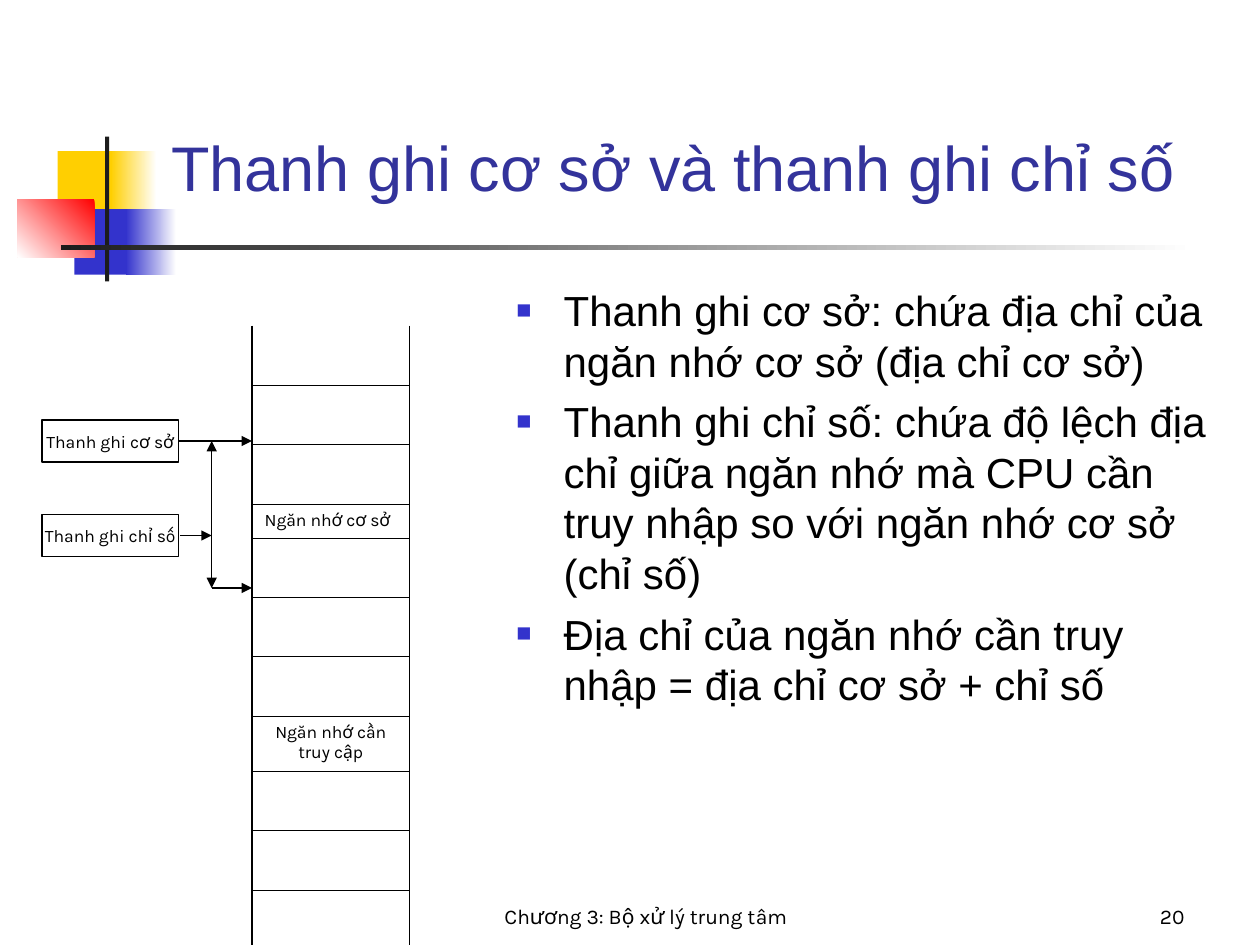
from dataclasses import dataclass

from lxml.etree import SubElement
from pptx import Presentation
from pptx.dml.color import RGBColor
from pptx.enum.shapes import MSO_CONNECTOR as Conn, MSO_SHAPE as Kind
from pptx.enum.text import MSO_ANCHOR as Anchor, PP_ALIGN as Align
from pptx.oxml import parse_xml
from pptx.oxml.ns import nsdecls, qn
from pptx.util import Pt


@dataclass(frozen=True)
class Theme:
    white: str = "FFFFFF"
    black: str = "000000"
    dark: str = "1C1C1C"
    gold: str = "FFCF01"
    blue: str = "3333CC"
    red: str = "FF0000"
    title: str = "33339B"
    sans: str = "Arial"
    label: str = "Karla"
    head: int = 36
    body: int = 24
    foot: int = 12
    small: int = 10
    line: float = 0.75
    side: float = 1.08
    rule: float = 0.45


def rgb(color):
    return RGBColor.from_string(color)


class Page:
    def __init__(self, slide, theme):
        self.slide = slide
        self.theme = theme

    def words(self, frame, texts, size, color=None, font=None, align=Align.LEFT):
        """Fill a text frame with one paragraph per text."""
        frame.text = "\n".join(texts)
        for para in frame.paragraphs:
            para.alignment = align
            para.font.size = Pt(size)
            para.font.name = font or self.theme.label
            para.font.color.rgb = rgb(color or self.theme.black)

    def text(self, box, texts, size, anchor=Anchor.BOTTOM, **style):
        frame = self.slide.shapes.add_textbox(*map(Pt, box)).text_frame
        frame.word_wrap = True
        frame.vertical_anchor = anchor
        self.words(frame, texts, size, **style)
        return frame

    def bullets(self, box, texts):
        look = self.theme
        frame = self.text(box, texts, look.body, Anchor.TOP, font=look.sans)
        marks = (
            f'<a:buClr {nsdecls("a")}><a:srgbClr val="{look.blue}"/></a:buClr>',
            f'<a:buSzPct {nsdecls("a")} val="60000"/>',
            f'<a:buFont {nsdecls("a")} typeface="{look.sans}"/>',
            f'<a:buChar {nsdecls("a")} char="■"/>',
        )
        for para in frame.paragraphs:
            para.space_before = Pt(6)
            props = para._p.get_or_add_pPr()
            props.set("marL", str(Pt(27)))
            props.set("indent", str(Pt(-27)))
            final = props.find(qn("a:defRPr"))
            for mark in marks:
                final.addprevious(parse_xml(mark))

    def rect(self, box, start, end=None, angle=180):
        """Add a borderless block, shaded when an end colour is given."""
        shape = self.slide.shapes.add_shape(Kind.RECTANGLE, *map(Pt, box))
        shape.shadow.inherit = False
        shape.line.fill.background()
        if end:
            shape.fill.gradient()
            shape.fill.gradient_angle = angle
            for stop, color in zip(shape.fill.gradient_stops, (start, end)):
                stop.color.rgb = rgb(color)
        else:
            shape.fill.solid()
            shape.fill.fore_color.rgb = rgb(start)
        return shape

    def label(self, box, text):
        look = self.theme
        shape = self.rect(box, look.white)
        shape.line.color.rgb = rgb(look.black)
        shape.line.width = Pt(look.line)
        frame = shape.text_frame
        frame.word_wrap = False
        frame.vertical_anchor = Anchor.MIDDLE
        self.words(frame, [text], look.small, align=Align.CENTER)

    def arrow(self, start, end, both=False):
        link = self.slide.shapes.add_connector(
            Conn.STRAIGHT, *map(Pt, (*start, *end)))
        link.line.color.rgb = rgb(self.theme.black)
        link.line.width = Pt(self.theme.line)
        props = link._element.spPr
        stroke = props.find(qn("a:ln"))
        for tip in ("a:headEnd", "a:tailEnd") if both else ("a:tailEnd",):
            SubElement(stroke, qn(tip), type="triangle")
        SubElement(props, qn("a:effectLst"))

    def border(self, cell, widths):
        """Draw the cell edges; a width of zero hides an edge."""
        props = cell._tc.get_or_add_tcPr()
        for spot, (edge, width) in enumerate(widths.items()):
            fill = (f'<a:solidFill><a:srgbClr val="{self.theme.black}"/>'
                    "</a:solidFill>" if width else "<a:noFill/>")
            props.insert(spot, parse_xml(
                f'<a:ln{edge} {nsdecls("a")} w="{Pt(width)}">{fill}</a:ln{edge}>'))

    def memory(self, left, top, width, rows):
        """Stack cells given as (height, text, alignment), open at both ends."""
        look = self.theme
        total = sum(row[0] for row in rows)
        table = self.slide.shapes.add_table(
            len(rows), 1, *map(Pt, (left, top, width, total))).table
        table.first_row = table.horz_banding = False
        last = len(rows) - 1
        for index, (height, text, align) in enumerate(rows):
            table.rows[index].height = Pt(height)
            cell = table.cell(index, 0)
            cell.fill.background()
            self.border(cell, {
                "L": look.side, "R": look.side,
                "T": look.rule if index else 0,
                "B": look.rule if index < last else 0})
            if text:
                self.words(cell.text_frame, [text], look.small, align=align)


def main():
    deck = Presentation()
    deck.slide_width, deck.slide_height = Pt(720), Pt(540)
    look = Theme()
    page = Page(deck.slides.add_slide(deck.slide_layouts[6]), look)

    page.rect((33, 86.4, 34.5, 37.4), look.gold)
    page.rect((63.4, 86.4, 26, 37.4), look.white, look.gold)
    page.rect((42.5, 119.5, 33.1, 37.4), look.blue)
    page.rect((72, 119.5, 28.8, 37.4), look.white, look.blue)
    page.rect((10, 113.8, 44, 33.1), look.red, look.white, 225)
    page.rect((60, 78, 2.4, 82.8), look.dark)
    page.rect((34.8, 140.2, 648, 2.4), look.white, look.dark)

    page.text((90.7, 72, 613.4, 48.2), ["Thanh ghi cơ sở và thanh ghi chỉ số"],
              look.head, color=look.title, font=look.sans)
    page.bullets((288, 159.1, 416.9, 324), [
        "Thanh ghi cơ sở: chứa địa chỉ của ngăn nhớ cơ sở (địa chỉ cơ sở)",
        "Thanh ghi chỉ số: chứa độ lệch địa chỉ giữa ngăn nhớ mà CPU cần "
        "truy nhập so với ngăn nhớ cơ sở (chỉ số)",
        "Địa chỉ của ngăn nhớ cần truy nhập = địa chỉ cơ sở + chỉ số",
    ])

    blank = (34, "", Align.LEFT)
    page.memory(144, 186, 90, [
        *[blank] * 3, (19.4, "Ngăn nhớ cơ sở", Align.LEFT),
        *[blank] * 3, (31.4, "Ngăn nhớ cần truy cập", Align.CENTER),
        *[blank] * 2, (31.2, "", Align.LEFT),
    ])

    base, shift, goal = 252, 306, 336
    edge, stem, wall = 102, 121, 144
    for mid, text in ((base, "Thanh ghi cơ sở"), (shift, "Thanh ghi chỉ số")):
        page.label((24, mid - 12, 78, 24), text)
    page.arrow((edge, base), (wall, base))
    page.arrow((stem, goal), (wall, goal))
    page.arrow((stem, base), (stem, goal), both=True)
    page.arrow((edge + 1, shift), (stem, shift))

    page.text((150, 498, 438, 36), ["Chương 3: Bộ xử lý trung tâm"],
              look.foot, align=Align.CENTER)
    page.text((600, 498, 84, 36), ["20"], look.foot, align=Align.RIGHT)
    deck.save("out.pptx")


if __name__ == "__main__":
    main()
